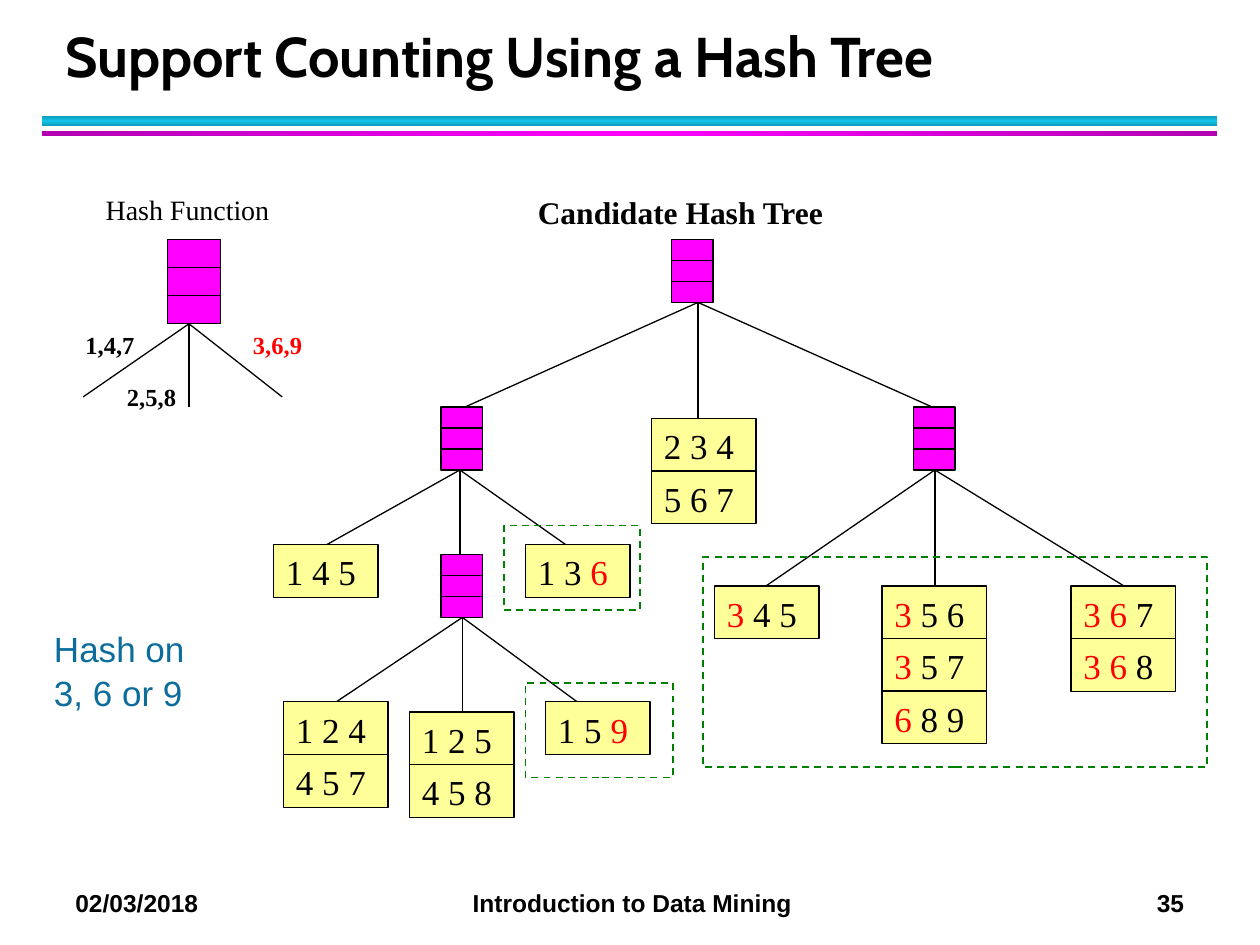
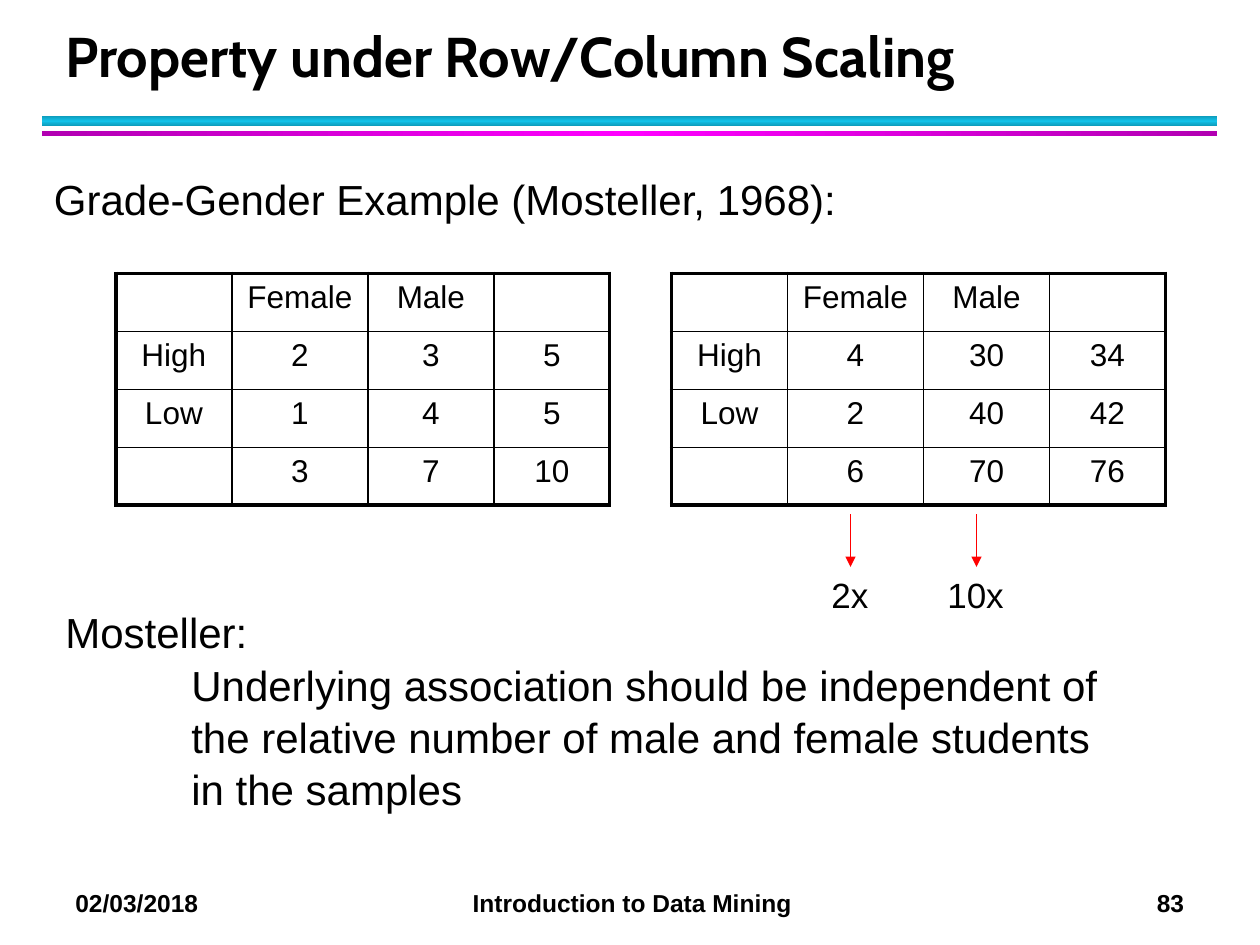
from copy import deepcopy
from dataclasses import dataclass

from lxml.etree import SubElement
from pptx import Presentation
from pptx.dml.color import RGBColor
from pptx.enum.dml import MSO_LINE
from pptx.enum.shapes import MSO_CONNECTOR as Connector, MSO_SHAPE as Preset
from pptx.enum.text import MSO_ANCHOR as Anchor, PP_ALIGN as Align
from pptx.oxml.ns import qn
from pptx.util import Inches, Pt


@dataclass(frozen=True)
class Theme:
    ink: str = "000000"
    hot: str = "FF0000"
    bucket: str = "FF00FF"
    leaf: str = "FFFF99"
    match: str = "008000"
    note: str = "0C6D9C"
    cyan_band: tuple = ("0E9BBA", "12C2E9", "0E9BBA")
    magenta_band: tuple = ("B200B2", "FF00FF", "B200B2")
    heading: str = "Cabin"
    sans: str = "Arial"
    serif: str = "Times New Roman"
    title_size: int = 32
    body_size: int = 24
    label_size: int = 20
    table_size: int = 18
    caption_size: int = 16
    small_size: int = 14
    thin: float = 0.75
    rule: float = 1
    frame: float = 2.25


THEME = Theme()

FOOTER = ("02/03/2018", "Introduction to Data Mining")
FOOTER_TABS = ((4.42, "ctr"), (8.8, "r"))
BANDS = (
    ((0.33, 0.92, 9.33, 0.08), THEME.cyan_band, 90),
    ((0.33, 1.04, 9.33, 0.04), THEME.magenta_band, 0),
)

HASH_TREE = {
    "title": "Support Counting Using a Hash Tree",
    "number": 35,
    "branches": [
        ((5.54, 2.4), [(3.67, 3.24), (5.54, 3.32), (7.42, 3.24)]),
        ((3.65, 3.73), [(2.58, 4.33), (3.65, 4.4), (4.5, 4.33)]),
        ((7.42, 3.73), [(6.08, 4.65), (7.42, 4.65), (8.92, 4.65)]),
        ((3.67, 4.9), [(2.67, 5.57), (3.67, 5.65), (4.58, 5.57)]),
        ((1.5, 2.57), [(0.66, 3.15), (1.5, 3.23), (2.24, 3.15)]),
    ],
    "buckets": [
        (5.33, 1.9, 0.33, 0.5),
        (3.5, 3.23, 0.33, 0.5),
        (7.25, 3.23, 0.33, 0.5),
        (3.5, 4.4, 0.33, 0.5),
        (1.33, 1.9, 0.42, 0.67),
    ],
    "leaves": [
        (5.17, 3.32, ["2 3 4", "5 6 7"]),
        (2.17, 4.32, ["1 4 5"]),
        (4.17, 4.32, ["1 3 |6|"]),
        (5.67, 4.65, ["|3| 4 5"]),
        (7, 4.65, ["|3| 5 6", "|3| 5 7", "|6| 8 9"]),
        (8.5, 4.65, ["|3 6| 7", "|3 6| 8"]),
        (2.25, 5.57, ["1 2 4", "4 5 7"]),
        (3.25, 5.65, ["1 2 5", "4 5 8"]),
        (4.33, 5.57, ["1 5 |9|"]),
    ],
    "captions": [
        ((0.74, 1.48, 1.65, 0.37), "Hash Function", THEME.caption_size, False),
        ((4.17, 1.48, 2.7, 0.4), "Candidate Hash Tree", THEME.table_size, True),
        ((0.58, 2.57, 0.7, 0.33), "1,4,7", THEME.small_size, True),
        ((0.91, 2.98, 0.7, 0.33), "2,5,8", THEME.small_size, True),
        ((1.91, 2.57, 0.7, 0.33), "|3,6,9|", THEME.small_size, True),
    ],
    "matches": [(4, 4.17, 1.08, 0.67), (4.17, 5.42, 1.17, 0.75), (5.58, 4.42, 4, 1.67)],
    "note": ((0.33, 4.92, 1.25, 0.77), "Hash on 3, 6 or 9"),
}

SCALING = {
    "title": "Property under Row/Column Scaling",
    "number": 83,
    "intro": ((0.33, 1.33, 8.42, 0.5), "Grade-Gender Example (Mosteller, 1968):"),
    "grades": [
        (0.92, [("", "Female", "Male", ""), ("High", "2", "3", "5"),
                ("Low", "1", "4", "5"), ("", "3", "7", "10")]),
        (5.33, [("", "Female", "Male", ""), ("High", "4", "30", "34"),
                ("Low", "2", "40", "42"), ("", "6", "70", "76")]),
    ],
    "factors": [(6.75, 6.5, "2x"), (7.75, 7.42, "10x")],
    "conclusion": ((0.42, 4.75, 8.42, 1.7), "Mosteller:", [
        "Underlying association should be independent of",
        "the relative number of male and female students",
        "in the samples",
    ]),
}

LEAF_SIZE = (0.83, 0.42)
LEAF_STEP = 0.417
GRADES_TOP = 2.17
GRADE_COLUMNS = (0.92, 1.08, 1, 0.92)
GRADE_ROW = 0.46
FACTOR_TOP, FACTOR_BOTTOM = 4.08, 4.5


def rgb(color):
    return RGBColor.from_string(color)


def inches(values):
    return [Inches(value) for value in values]


def add_run(paragraph, text, size, font, color=THEME.ink, bold=False):
    run = paragraph.add_run()
    run.text = text
    run.font.size = Pt(size)
    run.font.name = font
    run.font.bold = bold
    run.font.color.rgb = rgb(color)


def add_marked(paragraph, text, size, font, bold=False):
    for index, part in enumerate(text.split("|")):
        if part:
            add_run(paragraph, part, size, font, THEME.hot if index % 2 else THEME.ink, bold)


def add_text(slide, place):
    frame = slide.shapes.add_textbox(*inches(place)).text_frame
    frame.word_wrap = True
    return frame


def add_box(slide, place, fill=None, line=None, width=THEME.thin):
    box = slide.shapes.add_shape(Preset.RECTANGLE, *inches(place))
    box.shadow.inherit = False
    if fill:
        box.fill.solid()
        box.fill.fore_color.rgb = rgb(fill)
    else:
        box.fill.background()
    if line:
        box.line.color.rgb = rgb(line)
        box.line.width = Pt(width)
    else:
        box.line.fill.background()
    return box


def add_line(slide, start, end, color=THEME.ink, width=THEME.thin, arrow=False):
    line = slide.shapes.add_connector(Connector.STRAIGHT, *inches(start + end))
    line.line.color.rgb = rgb(color)
    line.line.width = Pt(width)
    properties = line._element.spPr
    if arrow:
        SubElement(properties.find(qn("a:ln")), qn("a:tailEnd"), type="triangle")
    SubElement(properties, qn("a:effectLst"))


def add_band(slide, place, colors, angle):
    band = add_box(slide, place)
    band.fill.gradient()
    band.fill.gradient_angle = angle
    stops = band._element.spPr.find(".//" + qn("a:gsLst"))
    stops.append(deepcopy(stops[0]))
    for index, (stop, color) in enumerate(zip(band.fill.gradient_stops, colors)):
        stop.position = index / 2
        stop.color.rgb = rgb(color)


def add_base(deck, content):
    slide = deck.slides.add_slide(deck.slide_layouts[6])
    for place, colors, angle in BANDS:
        add_band(slide, place, colors, angle)

    footer = add_text(slide, (0.5, 7, 9.33, 0.34)).paragraphs[0]
    tabs = SubElement(footer._p.get_or_add_pPr(), qn("a:tabLst"))
    for position, alignment in FOOTER_TABS:
        SubElement(tabs, qn("a:tab"), pos=str(Inches(position)), algn=alignment)
    add_run(footer, "\t".join((*FOOTER, str(content["number"]))),
            THEME.small_size, THEME.sans, bold=True)

    heading = add_text(slide, (0.42, 0.17, 9.06, 0.58))
    heading.vertical_anchor = Anchor.BOTTOM
    heading.paragraphs[0].line_spacing = Pt(36)
    add_run(heading.paragraphs[0], content["title"], THEME.title_size, THEME.heading, bold=True)
    return slide


def add_bucket(slide, place):
    left, top, width, height = place
    add_box(slide, place, THEME.bucket, THEME.ink)
    for third in (1, 2):
        y = top + height * third / 3
        add_line(slide, (left, y), (left + width, y))


def add_leaf(slide, left, top, itemset):
    leaf = add_box(slide, (left, top, *LEAF_SIZE), THEME.leaf, THEME.ink).text_frame
    leaf.vertical_anchor = Anchor.TOP
    leaf.paragraphs[0].alignment = Align.LEFT
    add_marked(leaf.paragraphs[0], itemset, THEME.label_size, THEME.serif)


def set_borders(cell, row, column, last_row, last_column):
    outer = {"a:lnL": column == 0, "a:lnR": column == last_column,
             "a:lnT": row == 0, "a:lnB": row == last_row}
    properties = cell._tc.get_or_add_tcPr()
    for index, (side, framed) in enumerate(outer.items()):
        width = Pt(THEME.frame if framed else THEME.rule)
        border = SubElement(properties, qn(side), w=str(width))
        fill = SubElement(border, qn("a:solidFill"))
        SubElement(fill, qn("a:srgbClr"), val=THEME.ink)
        properties.insert(index, border)


def add_grades(slide, left, rows):
    place = (left, GRADES_TOP, sum(GRADE_COLUMNS), GRADE_ROW * len(rows))
    grades = slide.shapes.add_table(len(rows), len(GRADE_COLUMNS), *inches(place)).table
    grades.first_row = grades.horz_banding = False
    for column, width in zip(grades.columns, GRADE_COLUMNS):
        column.width = Inches(width)
    for r, row in enumerate(rows):
        grades.rows[r].height = Inches(GRADE_ROW)
        for c, value in enumerate(row):
            cell = grades.cell(r, c)
            cell.fill.background()
            set_borders(cell, r, c, len(rows) - 1, len(row) - 1)
            if value:
                entry = cell.text_frame.paragraphs[0]
                entry.alignment = Align.CENTER
                add_run(entry, value, THEME.table_size, THEME.sans)


def build_hash_tree(deck):
    slide = add_base(deck, HASH_TREE)
    for origin, ends in HASH_TREE["branches"]:
        for end in ends:
            add_line(slide, origin, end)
    for place in HASH_TREE["buckets"]:
        add_bucket(slide, place)
    for left, top, itemsets in HASH_TREE["leaves"]:
        for index, itemset in enumerate(itemsets):
            add_leaf(slide, left, top + index * LEAF_STEP, itemset)
    for place, text, size, bold in HASH_TREE["captions"]:
        add_marked(add_text(slide, place).paragraphs[0], text, size, THEME.serif, bold)
    for place in HASH_TREE["matches"]:
        match = add_box(slide, place, line=THEME.match, width=THEME.rule)
        match.line.dash_style = MSO_LINE.DASH
    place, text = HASH_TREE["note"]
    note = add_text(slide, place).paragraphs[0]
    note.line_spacing = 1.04
    add_run(note, text, THEME.label_size, THEME.sans, THEME.note)


def build_scaling(deck):
    slide = add_base(deck, SCALING)
    for left, rows in SCALING["grades"]:
        add_grades(slide, left, rows)
    place, text = SCALING["intro"]
    add_run(add_text(slide, place).paragraphs[0], text, THEME.body_size, THEME.sans)

    place, speaker, lines = SCALING["conclusion"]
    conclusion = add_text(slide, place)
    add_run(conclusion.paragraphs[0], speaker, THEME.body_size, THEME.sans)
    claim = conclusion.add_paragraph()
    claim._p.get_or_add_pPr().set("marL", str(Inches(1)))
    for index, line in enumerate(lines):
        if index:
            claim.add_line_break()
        add_run(claim, line, THEME.body_size, THEME.sans)
    for paragraph in conclusion.paragraphs:
        paragraph.line_spacing = 1.04

    for x, left, factor in SCALING["factors"]:
        add_line(slide, (x, FACTOR_TOP), (x, FACTOR_BOTTOM), THEME.hot, THEME.rule, arrow=True)
        label = add_text(slide, (left, FACTOR_BOTTOM, 0.67, 0.43))
        add_run(label.paragraphs[0], factor, THEME.label_size, THEME.sans)


def main():
    deck = Presentation()
    deck.slide_width, deck.slide_height = Inches(10), Inches(7.5)
    build_hash_tree(deck)
    build_scaling(deck)
    deck.save("out.pptx")


if __name__ == "__main__":
    main()
